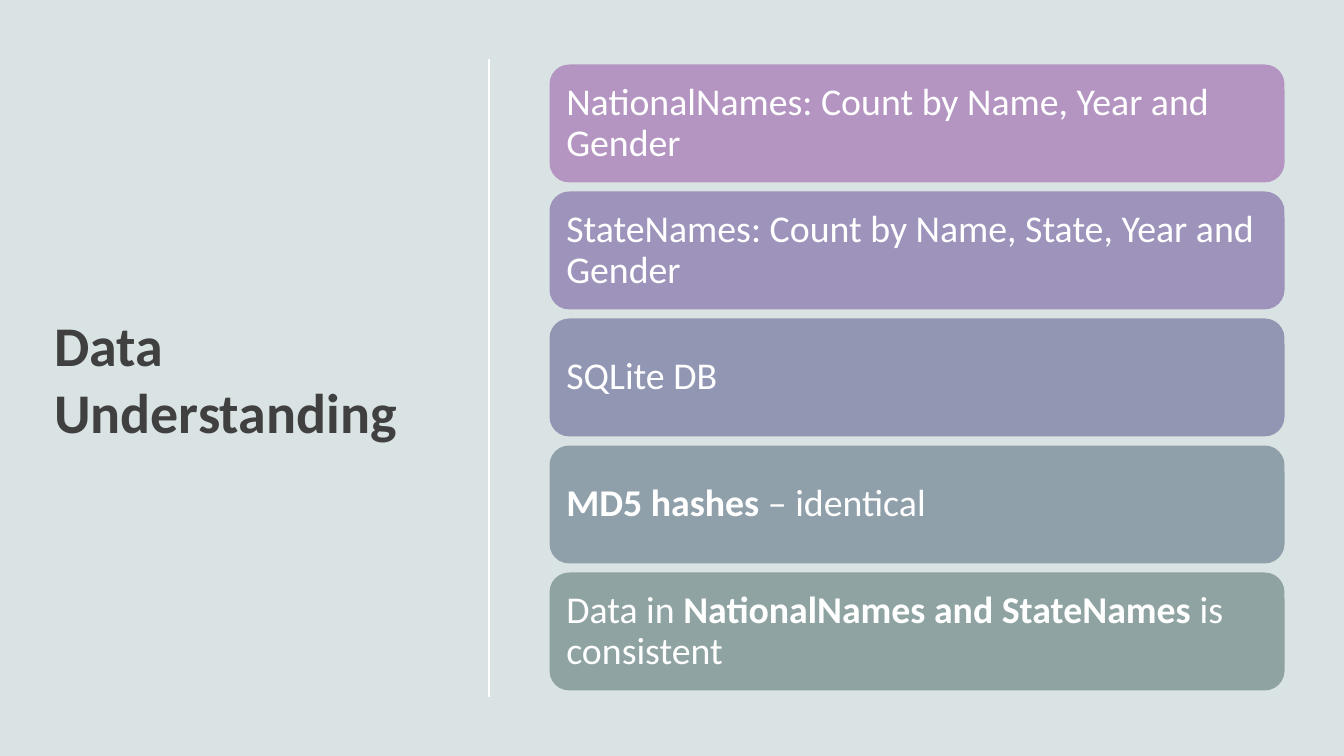
from dataclasses import dataclass

from lxml.etree import SubElement
from pptx import Presentation
from pptx.dml.color import RGBColor
from pptx.enum.shapes import MSO_CONNECTOR, MSO_SHAPE
from pptx.enum.text import MSO_ANCHOR, PP_ALIGN
from pptx.oxml.ns import qn
from pptx.util import Inches, Pt

# Content: each card is a fill colour and its (text, bold) runs
TITLE = "Data Understanding"
CARDS = [
    ("B495C2", [("NationalNames: Count by Name, Year and Gender", False)]),
    ("9E93BB", [("StateNames: Count by Name, State, Year and Gender", False)]),
    ("9197B3", [("SQLite DB", False)]),
    ("90A0AB", [("MD5 hashes ", True), ("– identical", False)]),
    ("8FA3A3", [("Data in ", False), ("NationalNames and StateNames ", True),
                ("is consistent", False)]),
]


@dataclass(frozen=True)
class Theme:
    font: str = "Calibri"
    background: str = "DAE3E3"
    title: str = "404040"
    light: str = "FFFFFF"
    title_size: int = 40
    card_size: int = 27


THEME = Theme()

# Layout in inches
WIDTH, HEIGHT = 13.33, 7.5
TITLE_BOX = (0.44, 2.98, 4.31, 1.54)
DIVIDER_X, DIVIDER_TOP, DIVIDER_BOTTOM = 4.85, 0.59, 6.91
CARD_LEFT, CARD_TOP, CARD_WIDTH, CARD_HEIGHT = 5.45, 0.64, 7.29, 1.17
CARD_PITCH = 1.26
CARD_INSET = 0.11


def color(value):
    return RGBColor.from_string(value)


def add_run(p, text, size, rgb, bold):
    r = p.add_run()
    r.text = text
    r.font.name = THEME.font
    r.font.size = Pt(size)
    r.font.bold = bold
    r.font.color.rgb = color(rgb)


def add_title(s):
    tf = s.shapes.add_textbox(*map(Inches, TITLE_BOX)).text_frame
    tf.word_wrap = True
    tf.vertical_anchor = MSO_ANCHOR.MIDDLE
    add_run(tf.paragraphs[0], TITLE, THEME.title_size, THEME.title, True)


def add_divider(s):
    ends = (DIVIDER_X, DIVIDER_TOP, DIVIDER_X, DIVIDER_BOTTOM)
    line = s.shapes.add_connector(MSO_CONNECTOR.STRAIGHT, *map(Inches, ends))
    line.line.color.rgb = color(THEME.light)
    line.line.width = Pt(1)
    SubElement(line._element.spPr, qn("a:effectLst"))


def add_card(s, row, fill, runs):
    box = (CARD_LEFT, CARD_TOP + row * CARD_PITCH, CARD_WIDTH, CARD_HEIGHT)
    sp = s.shapes.add_shape(MSO_SHAPE.ROUNDED_RECTANGLE, *map(Inches, box))
    sp.shadow.inherit = False
    sp.fill.solid()
    sp.fill.fore_color.rgb = color(fill)
    sp.line.fill.background()
    tf = sp.text_frame
    tf.word_wrap = True
    tf.vertical_anchor = MSO_ANCHOR.MIDDLE
    tf.margin_left = tf.margin_right = Inches(CARD_INSET)
    tf.margin_top = tf.margin_bottom = Inches(CARD_INSET)
    p = tf.paragraphs[0]
    p.alignment = PP_ALIGN.LEFT
    p.line_spacing = 0.9
    for text, bold in runs:
        add_run(p, text, THEME.card_size, THEME.light, bold)


def main():
    prs = Presentation()
    prs.slide_width, prs.slide_height = Inches(WIDTH), Inches(HEIGHT)
    s = prs.slides.add_slide(prs.slide_layouts[6])
    s.background.fill.solid()
    s.background.fill.fore_color.rgb = color(THEME.background)

    # Left: title and divider
    add_title(s)
    add_divider(s)

    # Right: stack of cards
    for row, (fill, runs) in enumerate(CARDS):
        add_card(s, row, fill, runs)

    prs.save("out.pptx")


if __name__ == "__main__":
    main()
